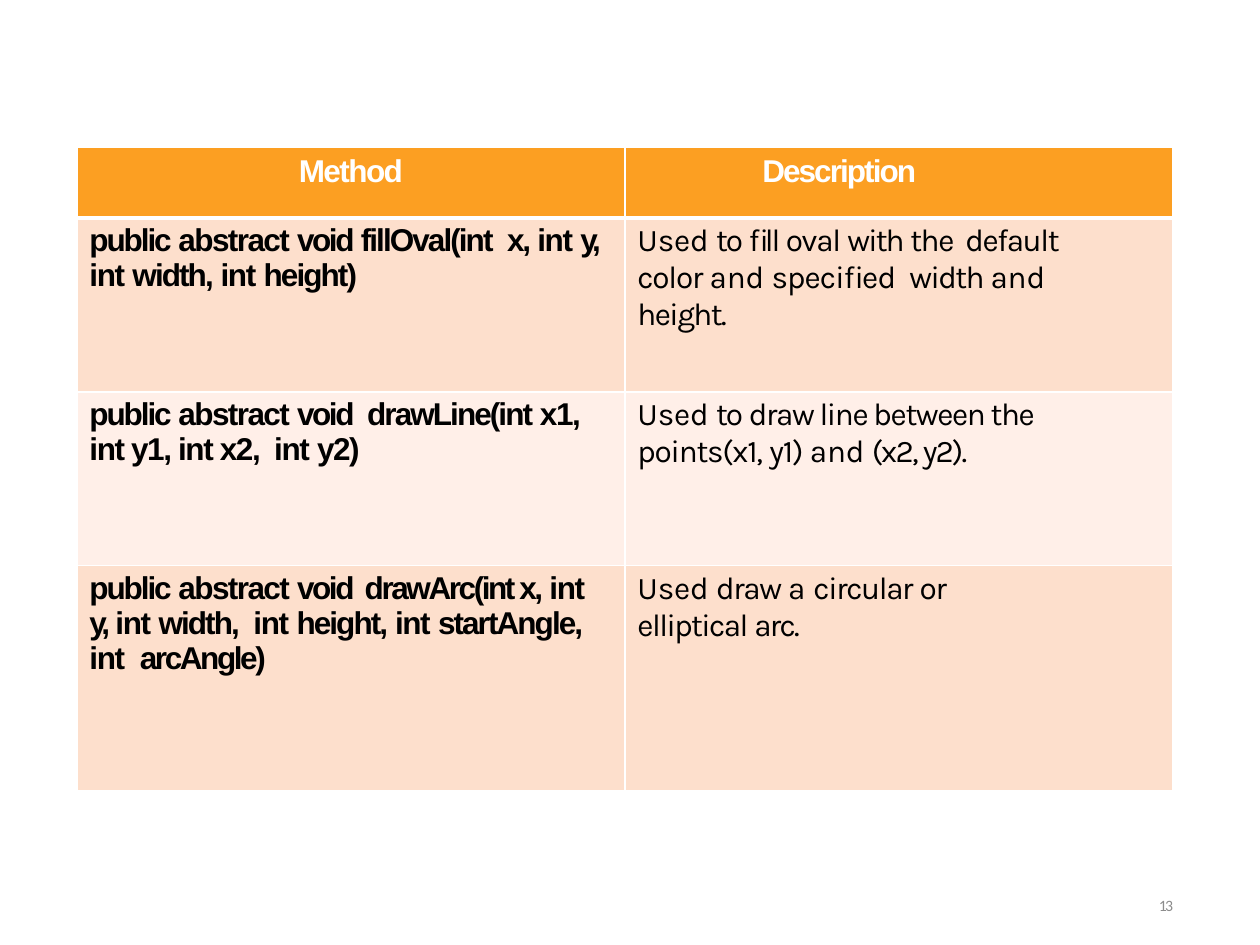
from lxml import etree
from pptx import Presentation
from pptx.dml.color import RGBColor
from pptx.enum.text import MSO_ANCHOR, MSO_AUTO_SIZE, PP_ALIGN
from pptx.oxml.ns import qn
from pptx.util import Inches, Pt

LEFT, CENTER, RIGHT = PP_ALIGN.LEFT, PP_ALIGN.CENTER, PP_ALIGN.RIGHT
MIDDLE = MSO_ANCHOR.MIDDLE
GROW = MSO_AUTO_SIZE.SHAPE_TO_FIT_TEXT

WHITE = RGBColor(0xFF, 0xFF, 0xFF)
BLACK = RGBColor(0, 0, 0)
GRAY = RGBColor(0x8C, 0x8C, 0x8C)
ORANGE = RGBColor(0xFC, 0x9F, 0x22)
PEACH = RGBColor(0xFD, 0xDF, 0xCC)
PALE_PEACH = RGBColor(0xFF, 0xEF, 0xE8)

# Each run is (text, letter spacing in points)
FILL_OVAL = [
    ("public ", -1.2), ("abstract ", -0.9), ("void ", -1.4), ("fillOval(int  ", -1.1),
    ("x, ", -1.4), ("int ", -0.8), ("y, ", -1.9), ("int ", -0.8), ("width, ", -1.1),
    ("int ", -0.8), ("height)", -1.1)]
FILL_OVAL_USE = [
    ("Used ", -0.1), ("to ", -1.1), ("fill ", -1.2), ("oval ", -0.7), ("with ", -1.1),
    ("the  default ", -0.8), ("color ", -0.7), ("and ", -0.1), ("specified  ", -0.5),
    ("width ", -0.9), ("and ", -0.1), ("height.", -0.9)]
DRAW_LINE = [
    ("public ", -1.2), ("abstract ", -0.9), ("void  ", -1.4), ("drawLine(int ", -1.1),
    ("x1, int y1, int x2,  int ", -0.8), ("y2)", -0.9)]
DRAW_LINE_USE = [
    ("Used ", -0.1), ("to ", -1.1), ("draw line between the  ", -0.8),
    ("points(x1, ", -0.7), ("y1) ", -0.6), ("and ", -0.1), ("(x2, y2).", -1)]
DRAW_ARC = [
    ("public ", -1.2), ("abstract ", -0.9), ("void  drawArc(int x, ", -1.4),
    ("int ", -0.8), ("y, ", -1.9), ("int ", -0.8), ("width,  ", -1.1), ("int ", -0.8),
    ("height, ", -1.1), ("int ", -0.8), ("startAngle, ", -1.1), ("int  ", -0.8),
    ("arcAngle)", -1.4)]
DRAW_ARC_USE = [
    ("Used ", -0.1), ("draw ", -0.8), ("a ", 0.1), ("circular ", -0.8), ("or  ", -0.7),
    ("elliptical ", -0.9), ("arc.", -1)]

# Row: fill, method runs, description runs, right indent of the description
METHODS = [
    (PEACH, FILL_OVAL, FILL_OVAL_USE, 0.5),
    (PALE_PEACH, DRAW_LINE, DRAW_LINE_USE, 0.5),
    (PEACH, DRAW_ARC, DRAW_ARC_USE, 0.95),
]


class SlideWriter:
    code_font, prose_font, number_font = "Arial", "Karla", "Calibri"
    text_size = 18

    def __init__(self, slide):
        self.slide = slide

    def paragraph(self, frame, runs, font, color, size=text_size, bold=False,
                  align=LEFT, left=0, right=0, before=0):
        paragraph = frame.paragraphs[0]
        paragraph.alignment = align
        paragraph.space_before = Pt(before)
        properties = paragraph._p.get_or_add_pPr()
        properties.set("marL", str(Inches(left)))
        properties.set("marR", str(Inches(right)))
        properties.set("indent", "0")
        for text, spacing in runs:
            run = paragraph.add_run()
            run.text = text
            run.font.name = font
            run.font.size = Pt(size)
            run.font.bold = bold
            run.font.color.rgb = color
            run._r.get_or_add_rPr().set("spc", str(round(spacing * 100)))
        return paragraph

    def borders(self, cell, top, bottom):
        properties = cell._tc.get_or_add_tcPr()
        for side, width in (("L", 1), ("R", 1), ("T", top), ("B", bottom)):
            line = etree.SubElement(properties, qn(f"a:ln{side}"), w=str(Pt(width)))
            fill = etree.SubElement(line, qn("a:solidFill"))
            etree.SubElement(fill, qn("a:srgbClr"), val=str(WHITE))

    def cell(self, cell, fill, runs, inset=0.04, top=1, bottom=1, **style):
        cell.margin_left = cell.margin_right = cell.margin_bottom = 0
        cell.margin_top = Inches(inset)
        self.borders(cell, top, bottom)
        cell.fill.solid()
        cell.fill.fore_color.rgb = fill
        self.paragraph(cell.text_frame, runs, **style)

    def table(self, left, top, widths, heights):
        table = self.slide.shapes.add_table(
            len(heights), len(widths), Inches(left), Inches(top),
            Inches(sum(widths)), Inches(sum(heights))).table
        table.first_row = table.horz_banding = False
        for column, width in zip(table.columns, widths):
            column.width = Inches(width)
        for row, height in zip(table.rows, heights):
            row.height = Inches(height)
        return table

    def page_number(self, number, left, top, width, height):
        box = self.slide.shapes.add_textbox(
            Inches(left), Inches(top), Inches(width), Inches(height))
        frame = box.text_frame
        frame.word_wrap = True
        frame.auto_size = GROW
        frame.vertical_anchor = MIDDLE
        frame.margin_left = frame.margin_right = 0
        frame.margin_top = frame.margin_bottom = 0
        line = self.paragraph(frame, [(number, -1)], self.number_font, GRAY, size=9,
                              align=RIGHT, left=0.04)
        line.line_spacing = Pt(15.7)


def main():
    presentation = Presentation()
    presentation.slide_width, presentation.slide_height = Inches(10), Inches(7.5)
    writer = SlideWriter(presentation.slides.add_slide(presentation.slide_layouts[6]))

    # Table header
    methods = writer.table(0.61, 1.17, [4.35, 4.35], [0.56, 1.38, 1.38, 1.79])
    header = dict(inset=0.05, bottom=3, font=writer.code_font, color=WHITE,
                  bold=True, before=3.4)
    writer.cell(methods.cell(0, 0), ORANGE, [("Method", -0.9)], align=CENTER, **header)
    writer.cell(methods.cell(0, 1), ORANGE, [("Description", -1.1)], left=1.09, **header)

    # Drawing methods
    for row, (fill, signature, use, use_indent) in enumerate(METHODS, start=1):
        body = dict(top=3 if row == 1 else 1, color=BLACK, left=0.1, before=3.1)
        writer.cell(methods.cell(row, 0), fill, signature, font=writer.code_font,
                    bold=True, right=0.15, **body)
        writer.cell(methods.cell(row, 1), fill, use, font=writer.prose_font,
                    right=use_indent, **body)

    # Slide number
    writer.page_number("13", 7.06, 6.95, 2.25, 0.4)
    presentation.save("out.pptx")


if __name__ == "__main__":
    main()
